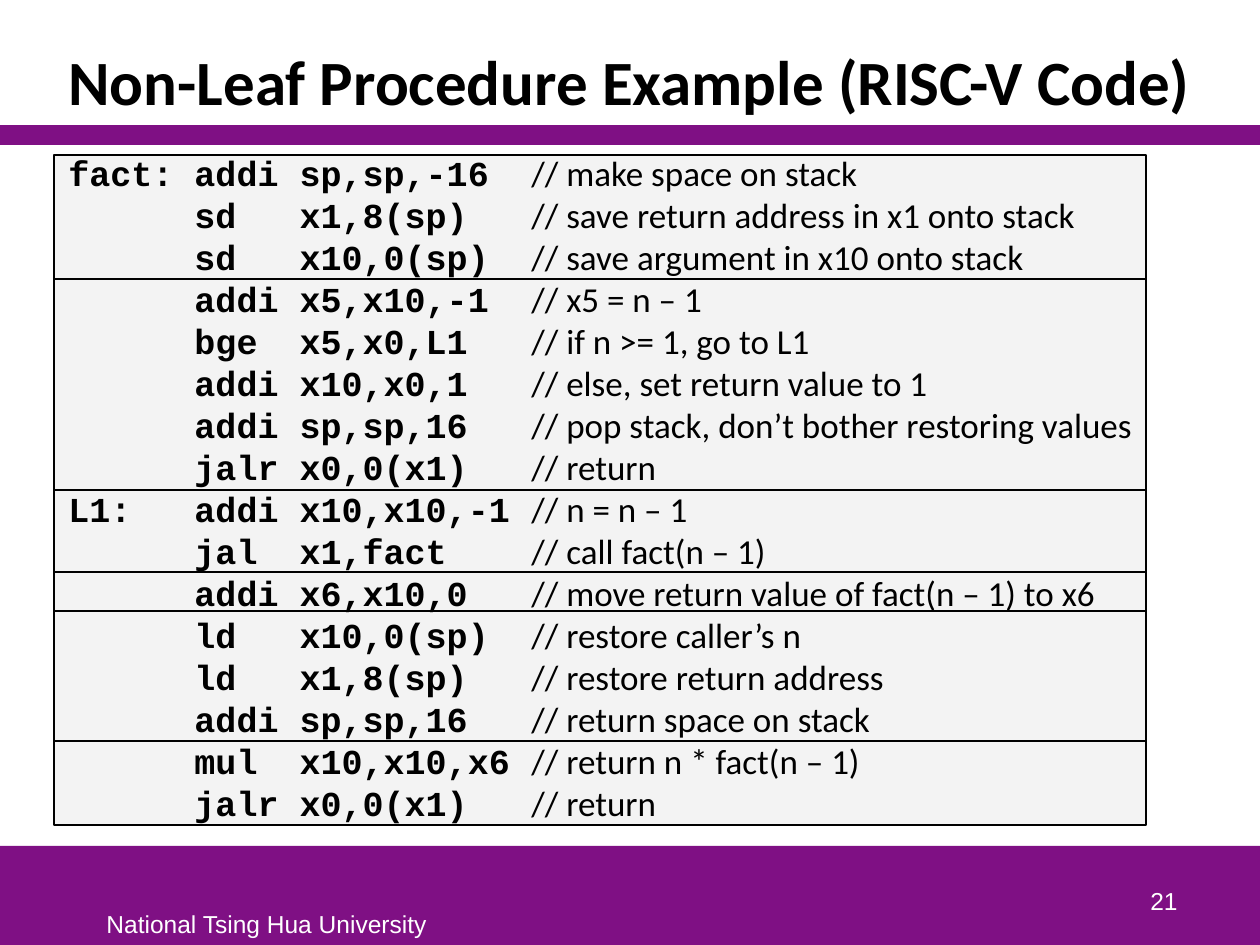
from itertools import pairwise
from typing import NamedTuple

from lxml import etree
from pptx import Presentation
from pptx.dml.color import RGBColor
from pptx.enum.shapes import MSO_SHAPE
from pptx.enum.text import MSO_ANCHOR, PP_ALIGN
from pptx.oxml.ns import qn
from pptx.util import Pt

RECTANGLE = MSO_SHAPE.RECTANGLE
TOP, BOTTOM = MSO_ANCHOR.TOP, MSO_ANCHOR.BOTTOM
LEFT, RIGHT = PP_ALIGN.LEFT, PP_ALIGN.RIGHT
EMU_PER_PX = 914400 / 126
COLORS = {"purple": "7F1084", "panel": "D9D9D9", "black": "000000", "white": "FFFFFF"}


class Area(NamedTuple):
    left: int
    top: int
    width: int
    height: int


class Label(NamedTuple):
    text: str
    area: Area
    font: str
    size: int
    color: str
    bold: bool = False
    align: PP_ALIGN = LEFT
    anchor: MSO_ANCHOR = BOTTOM
    spacing: float = 1.0


class Instruction(NamedTuple):
    target: str
    code: str
    comment: str


BANDS = [Area(0, 846, 1260, 99), Area(0, 125, 1260, 20)]
PANEL_LEFT, PANEL_WIDTH = 54, 1092
PANEL_EDGES = [155, 279, 490, 572, 611, 741, 825]
LABELS = [
    Label("Non-Leaf Procedure Example (RISC-V Code)", Area(56, 32, 1180, 93),
          "Calibri", 36, "black", bold=True, spacing=0.85),
    Label("National Tsing Hua University", Area(94, 903, 348, 42),
          "Arial", 14, "white", anchor=TOP),
    Label("21", Area(928, 859, 262, 63), "Arial", 14, "white", align=RIGHT),
]
LISTING_AREA = Area(56, 145, 1149, 697)
LISTING = [
    Instruction("fact:", "addi sp,sp,-16", "make space on stack"),
    Instruction("", "sd   x1,8(sp)", "save return address in x1 onto stack"),
    Instruction("", "sd   x10,0(sp)", "save argument in x10 onto stack"),
    Instruction("", "addi x5,x10,-1", "x5 = n – 1"),
    Instruction("", "bge  x5,x0,L1", "if n >= 1, go to L1"),
    Instruction("", "addi x10,x0,1", "else, set return value to 1"),
    Instruction("", "addi sp,sp,16", "pop stack, don’t bother restoring values"),
    Instruction("", "jalr x0,0(x1)", "return"),
    Instruction("L1:", "addi x10,x10,-1", "n = n – 1"),
    Instruction("", "jal  x1,fact", "call fact(n – 1)"),
    Instruction("", "addi x6,x10,0", "move return value of fact(n – 1) to x6"),
    Instruction("", "ld   x10,0(sp)", "restore caller’s n"),
    Instruction("", "ld   x1,8(sp)", "restore return address"),
    Instruction("", "addi sp,sp,16", "return space on stack"),
    Instruction("", "mul  x10,x10,x6", "return n * fact(n – 1)"),
    Instruction("", "jalr x0,0(x1)", "return"),
]


def px(length: int) -> int:
    return round(length * EMU_PER_PX)


def rgb(color: str) -> RGBColor:
    return RGBColor.from_string(COLORS[color])


def add_rectangle(page, area: Area, color: str):
    shape = page.shapes.add_shape(RECTANGLE, *map(px, area))
    shape.shadow.inherit = False
    shape.fill.solid()
    shape.fill.fore_color.rgb = rgb(color)
    shape.line.fill.background()
    return shape


def add_panel(page, top: int, bottom: int) -> None:
    area = Area(PANEL_LEFT, top, PANEL_WIDTH, bottom - top)
    panel = add_rectangle(page, area, "panel")
    fill_color = panel.fill._xPr.find(qn("a:solidFill"))[0]
    etree.SubElement(fill_color, qn("a:alpha"), val="30000")
    panel.line.color.rgb = rgb("black")
    panel.line.width = Pt(0.75)


def add_text_frame(page, area: Area, anchor: MSO_ANCHOR):
    frame = page.shapes.add_textbox(*map(px, area)).text_frame
    frame.word_wrap = True
    frame.vertical_anchor = anchor
    return frame


def set_font(font, name: str, size: int, color: str, bold: bool) -> None:
    font.name = name
    font.size = Pt(size)
    font.color.rgb = rgb(color)
    font.bold = bold


def add_label(page, label: Label) -> None:
    para = add_text_frame(page, label.area, label.anchor).paragraphs[0]
    para.text = label.text
    para.alignment = label.align
    para.line_spacing = label.spacing
    set_font(para.font, label.font, label.size, label.color, label.bold)


def add_listing(page, area: Area, listing: list[Instruction]) -> None:
    frame = add_text_frame(page, area, TOP)
    for index, line in enumerate(listing):
        para = frame.add_paragraph() if index else frame.paragraphs[0]
        para.line_spacing = Pt(24)
        code = f"{line.target:<6}{line.code:<16}"
        for text, name, bold in (
            (code, "Courier New", True),
            (f"// {line.comment}", "Calibri", False),
        ):
            span = para.add_run()
            span.text = text
            set_font(span.font, name, 20, "black", bold)


def main() -> None:
    deck = Presentation()
    deck.slide_width, deck.slide_height = px(1260), px(945)
    page = deck.slides.add_slide(deck.slide_layouts[6])
    for band in BANDS:
        add_rectangle(page, band, "purple")
    for top, bottom in pairwise(PANEL_EDGES):
        add_panel(page, top, bottom)
    for label in LABELS:
        add_label(page, label)
    add_listing(page, LISTING_AREA, LISTING)
    deck.save("out.pptx")


if __name__ == "__main__":
    main()
